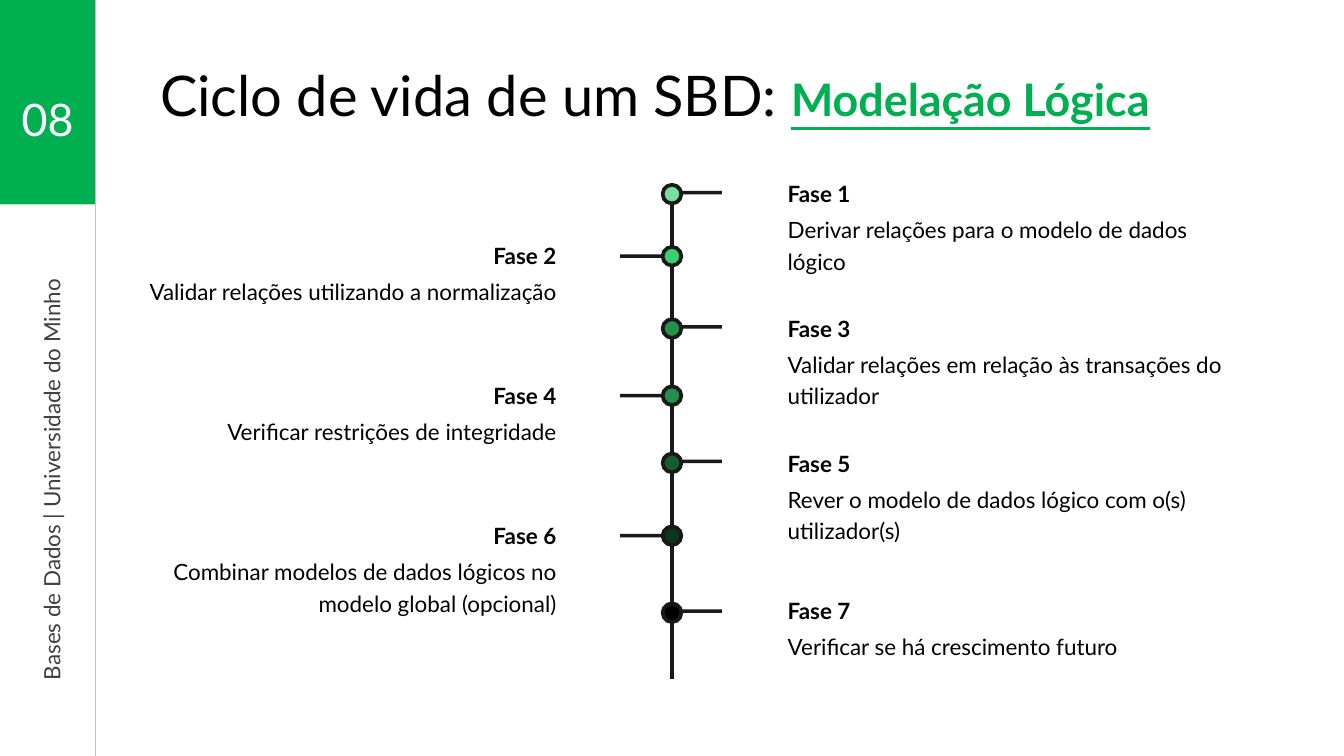
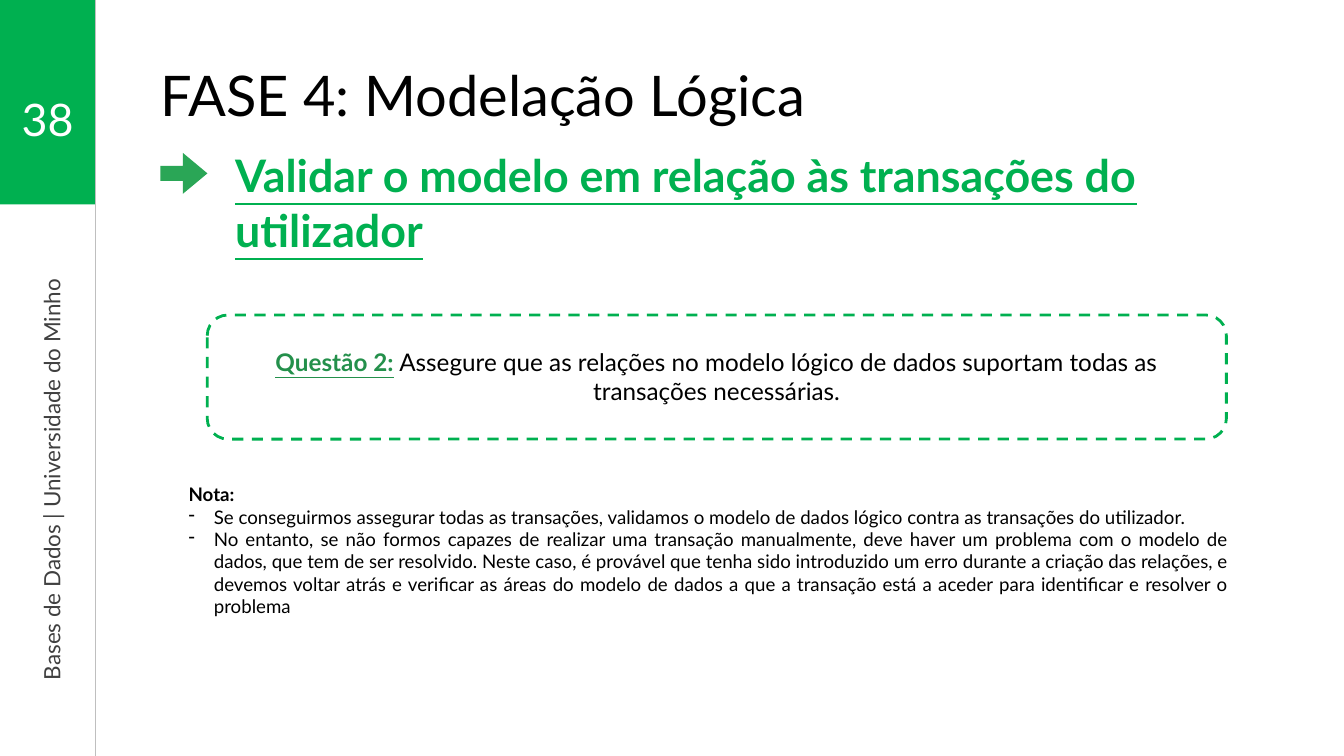
import lxml.etree
import pptx
import pptx.dml.color
import pptx.enum.dml
import pptx.enum.shapes
import pptx.enum.text
import pptx.oxml.ns
import pptx.util

Pt = pptx.util.Pt
RGB = pptx.dml.color.RGBColor.from_string
SHAPES = pptx.enum.shapes.MSO_SHAPE
STRAIGHT = pptx.enum.shapes.MSO_CONNECTOR.STRAIGHT
ALIGN = pptx.enum.text.PP_ALIGN
qn = pptx.oxml.ns.qn


class Theme:
    font = "Lato"
    green = "00B050"
    question = "24904B"
    arrow = "2AA656"
    ink = "191919"
    black = "000000"
    white = "FFFFFF"
    grey = "404040"
    rule = "BFBFBF"
    dots = ["79DD9D", "3ACE6F", "24904B", "24904B", "175D30", "0D351B", "000000"]
    title, heading, question_size, body, note = 60, 48, 26, 24, 20
    title_spacing, body_spacing = 58.8, 33.6


def add_text(page, area, paragraphs, size, color=Theme.black, bold=False,
             align=ALIGN.LEFT, spacing=None):
    box = page.shapes.add_textbox(*map(Pt, area))
    frame = box.text_frame
    frame.word_wrap = True
    frame.auto_size = pptx.enum.text.MSO_AUTO_SIZE.SHAPE_TO_FIT_TEXT
    if spacing:
        frame.margin_left = frame.margin_top = frame.margin_right = frame.margin_bottom = 0
    for index, text in enumerate(paragraphs):
        para = frame.add_paragraph() if index else frame.paragraphs[0]
        para.alignment = align
        if spacing:
            para.line_spacing = Pt(spacing)
        para.font.name = Theme.font
        para.font.size = Pt(size)
        para.font.bold = bold
        para.font.color.rgb = RGB(color)
        para.add_run().text = text
    return box


def add_line(page, start, end, color, width):
    line = page.shapes.add_connector(STRAIGHT, *map(Pt, start + end))
    line.line.color.rgb = RGB(color)
    line.line.width = Pt(width)
    lxml.etree.SubElement(line._element.spPr, qn("a:effectLst"))


deck = pptx.Presentation()
deck.slide_width, deck.slide_height = Pt(1440), Pt(810)

pages = []
for number, title in [("08", "Ciclo de vida de um SBD: "), ("38", "FASE 4: Modelação Lógica")]:
    page = deck.slides.add_slide(deck.slide_layouts[6])
    band = page.shapes.add_shape(SHAPES.RECTANGLE, 0, 0, Pt(102), Pt(219))
    band.shadow.inherit = False
    band.fill.solid()
    band.fill.fore_color.rgb = RGB(Theme.green)
    band.line.fill.background()
    add_line(page, (102, 0), (102, 811), Theme.rule, 0.75)
    add_text(page, (18, 97, 66, 60), [number], Theme.heading, Theme.white,
             align=ALIGN.CENTER, spacing=Theme.title_spacing)
    footer = add_text(page, (-186.5, 497.5, 477.5, 32.5),
                      ["Bases de Dados | Universidade do Minho"], Theme.body, Theme.grey,
                      align=ALIGN.CENTER, spacing=Theme.body_spacing)
    footer.rotation = 270
    heading = add_text(page, (171.5, 78.5, 1214.5, 62), [title], Theme.title,
                       spacing=Theme.title_spacing)
    pages.append((page, heading))

(timeline_page, timeline_title), (question_page, question_title) = pages

span = timeline_title.text_frame.paragraphs[0].add_run()
span.text = "Modelação Lógica"
span.font.size = Pt(Theme.heading)
span.font.bold = span.font.underline = True
span.font.color.rgb = RGB(Theme.green)

phases = [
    (208, 188.5, 470, "Derivar relações para o modelo de dados lógico"),
    (274.5, 255, 496, "Validar relações utilizando a normalização"),
    (352, 333, 542, "Validar relações em relação às transações do utilizador"),
    (424, 404.5, 446, "Verificar restrições de integridade"),
    (496, 477, 524, "Rever o modelo de dados lógico com o(s) utilizador(s)"),
    (574, 555, 492, "Combinar modelos de dados lógicos no modelo global (opcional)"),
    (656.5, 635, 470, "Verificar se há crescimento futuro"),
]
axis, radius = 720, 10
left_edge, right_edge = 596, 844
stem_ends = [phase[0] - radius for phase in phases[1:]] + [727]

for index, (middle, top, width, description) in enumerate(phases):
    on_right = index % 2 == 0
    add_line(timeline_page, (axis, middle + radius), (axis, stem_ends[index]), Theme.ink, 4)
    tick_left, tick_top = (730, middle - 3.5) if on_right else (664.5, middle - 2)
    tick = timeline_page.shapes.add_shape(
        SHAPES.RECTANGLE, Pt(tick_left), Pt(tick_top), Pt(43.5), Pt(3.75))
    dot = timeline_page.shapes.add_shape(
        SHAPES.OVAL, Pt(axis - radius), Pt(middle - radius), Pt(2 * radius), Pt(2 * radius))
    for shape, color in [(tick, Theme.ink), (dot, Theme.dots[index])]:
        shape.shadow.inherit = False
        shape.fill.solid()
        shape.fill.fore_color.rgb = RGB(color)
    tick.line.fill.background()
    dot.line.color.rgb = RGB(Theme.ink)
    dot.line.width = Pt(4)

    label_width = 390 if on_right else 446
    align = ALIGN.LEFT if on_right else ALIGN.RIGHT
    for text, text_top, text_width, bold in [
            (f"Fase {index + 1}", top, label_width, True),
            (description, top + 38.5, width, False)]:
        text_left = right_edge if on_right else left_edge - text_width
        add_text(timeline_page, (text_left, text_top, text_width, 32.5), [text], Theme.body,
                 bold=bold, align=align, spacing=Theme.body_spacing)

subtitle = add_text(question_page, (252, 157, 1146, 118),
                    ["Validar o modelo em relação às transações do utilizador"],
                    Theme.heading, Theme.green, True, spacing=Theme.title_spacing)
subtitle.text_frame.paragraphs[0].font.underline = True

arrow = question_page.shapes.add_shape(SHAPES.DOWN_ARROW, Pt(175), Pt(160.5), Pt(44), Pt(50.5))
arrow.rotation = 270
arrow.adjustments[0], arrow.adjustments[1] = 0.36, 0.6
arrow.shadow.inherit = False
arrow.fill.solid()
arrow.fill.fore_color.rgb = RGB(Theme.arrow)
arrow.line.fill.background()

question = add_text(question_page, (236, 368.5, 1064, 101.5), ["Questão 2:"],
                    Theme.question_size, align=ALIGN.CENTER)
para = question.text_frame.paragraphs[0]
span = para.runs[0]
span.font.bold = span.font.underline = True
span.font.color.rgb = RGB(Theme.question)
para.add_run().text = (" Assegure que as relações no modelo lógico de dados suportam todas as "
                       "transações necessárias.")

frame_box = question_page.shapes.add_shape(
    SHAPES.ROUNDED_RECTANGLE, Pt(222), Pt(337.5), Pt(1092), Pt(133))
frame_box.shadow.inherit = False
frame_box.fill.background()
frame_box.line.color.rgb = RGB(Theme.green)
frame_box.line.width = Pt(3)
frame_box.line.dash_style = pptx.enum.dml.MSO_LINE.DASH

note = add_text(question_page, (195, 514, 1128, 177), [
    "Nota:",
    "Se conseguirmos assegurar todas as transações, validamos o modelo de dados lógico contra "
    "as transações do utilizador.",
    "No entanto, se não formos capazes de realizar uma transação manualmente, deve haver um "
    "problema com o modelo de dados, que tem de ser resolvido. Neste caso, é provável que tenha "
    "sido introduzido um erro durante a criação das relações, e devemos voltar atrás e verificar "
    "as áreas do modelo de dados a que a transação está a aceder para identificar e resolver o "
    "problema",
], Theme.note, align=ALIGN.JUSTIFY)
note.text_frame.paragraphs[0].font.bold = True
for para in note.text_frame.paragraphs[1:]:
    properties = para._p.get_or_add_pPr()
    properties.set("marL", str(Pt(27)))
    properties.set("indent", str(-Pt(27)))
    bullet = lxml.etree.Element(qn("a:buChar"), char="-")
    properties.find(qn("a:defRPr")).addprevious(bullet)

deck.save("out.pptx")
